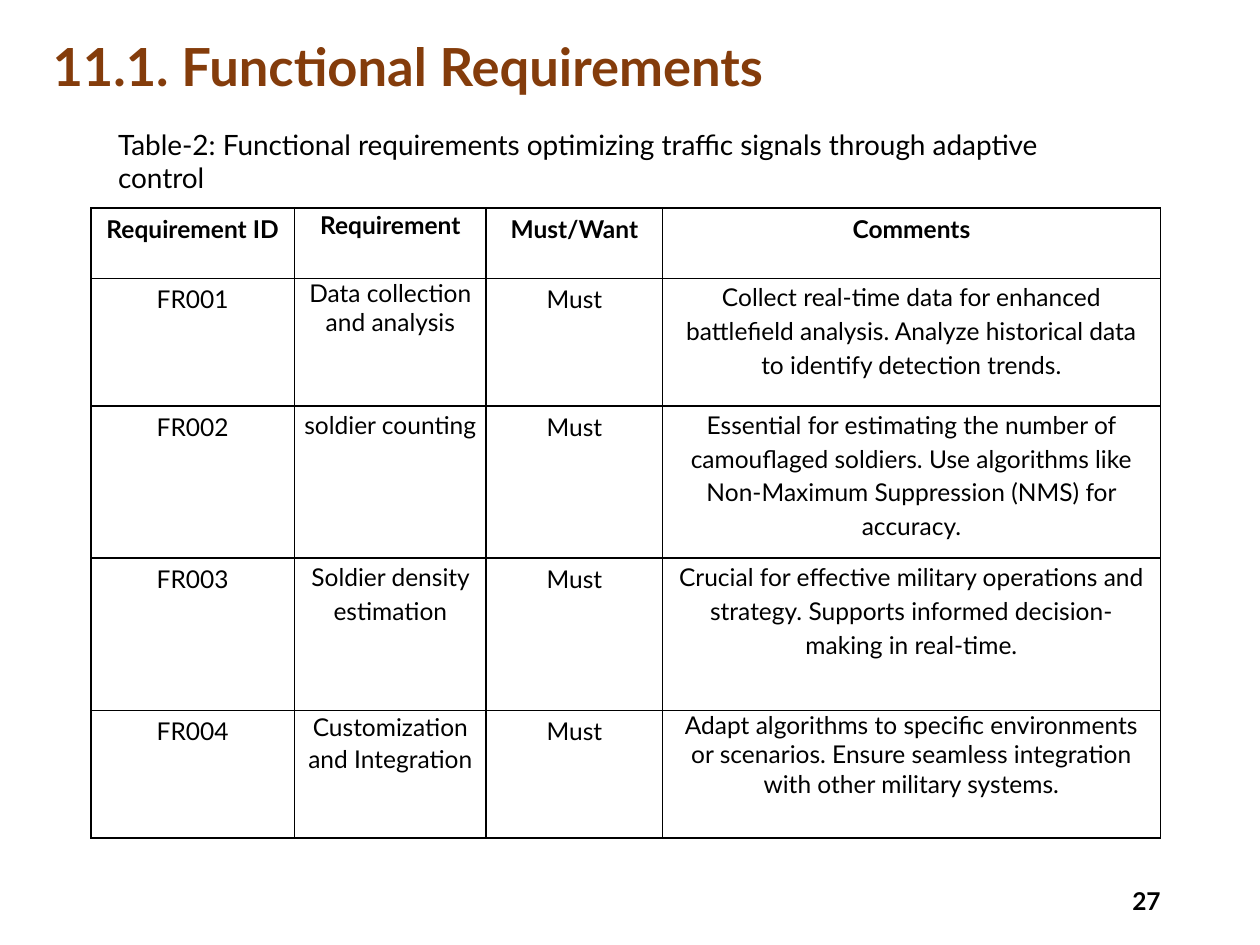
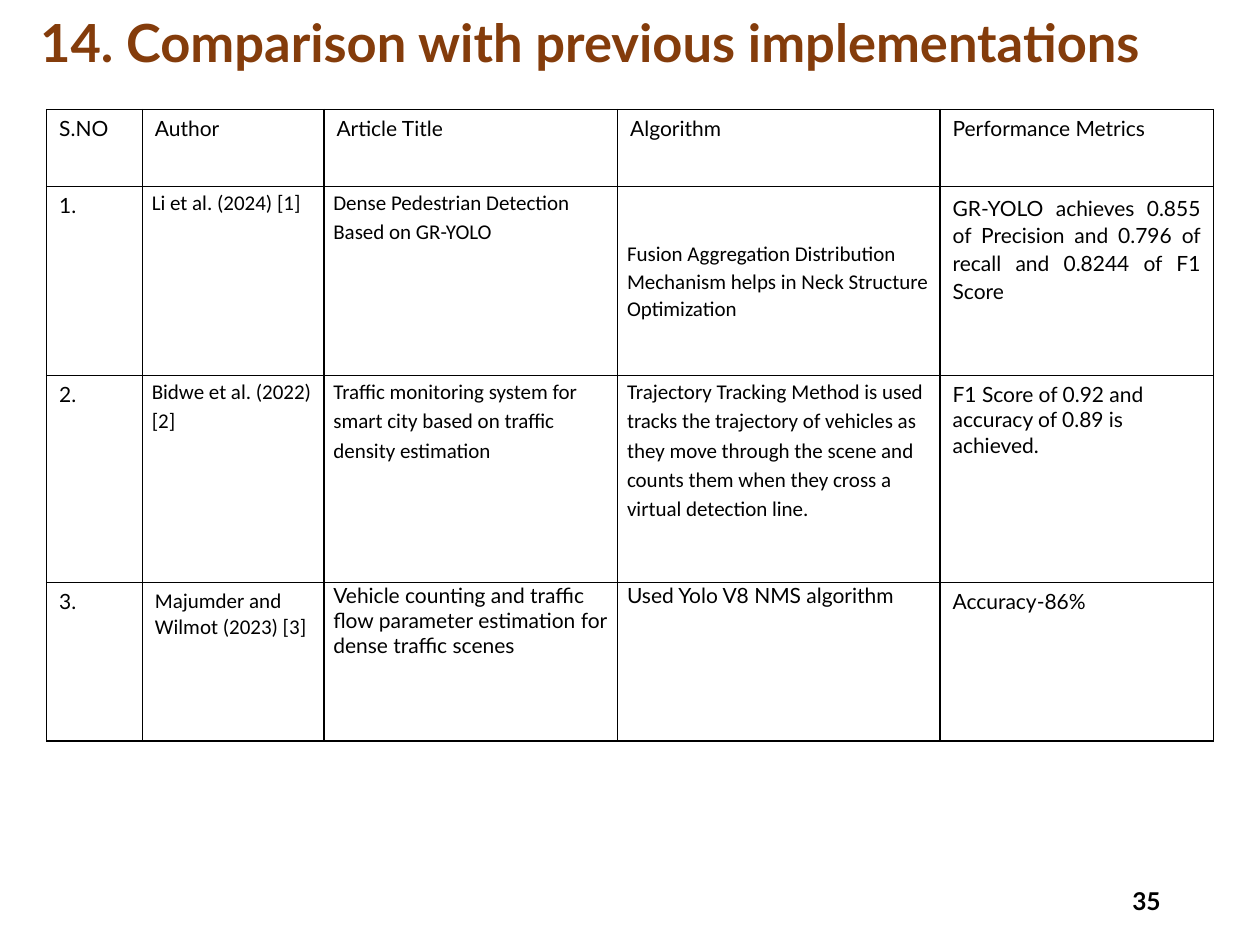
from dataclasses import dataclass, replace

from lxml.etree import SubElement
from pptx import Presentation
from pptx.dml.color import RGBColor
from pptx.enum.text import MSO_ANCHOR, PP_ALIGN
from pptx.oxml import parse_xml
from pptx.oxml.ns import nsdecls, qn
from pptx.util import Cm, Pt

BLACK = "000000"
BROWN = "843C0B"


def color(hex_string):
    return RGBColor.from_string(hex_string)


@dataclass(frozen=True)
class TextStyle:
    size: float
    font: str = "Lato"
    color: str = BLACK
    bold: bool = False
    align: PP_ALIGN = PP_ALIGN.LEFT
    anchor: MSO_ANCHOR = MSO_ANCHOR.TOP
    line_spacing: float = 1
    space_after: float = 0
    tight: bool = False


TITLE = TextStyle(30, color=BROWN, bold=True, anchor=MSO_ANCHOR.MIDDLE, line_spacing=0.9)
PAGE_NUMBER = TextStyle(14, bold=True, align=PP_ALIGN.RIGHT, anchor=MSO_ANCHOR.MIDDLE)
CAPTION = TextStyle(16)


def tight(style, line_spacing=1.15, space_after=8, **changes):
    """Return the style with narrow cell margins and open lines."""
    return replace(style, tight=True, line_spacing=line_spacing,
                   space_after=space_after, **changes)


class Deck:
    """Holds the presentation, the shared style and the current slide."""

    def __init__(self):
        self.presentation = Presentation()
        self.presentation.slide_width = Cm(25.4)
        self.presentation.slide_height = Cm(19.05)
        self.slide = None

    def add_slide(self, title, title_box, number):
        self.slide = self.presentation.slides.add_slide(self.presentation.slide_layouts[6])
        self.add_text(title, title_box, TITLE)
        self.add_text(number, (17.93, 17.65, 5.72, 1.02), PAGE_NUMBER)

    def add_text(self, text, box, style):
        shape = self.slide.shapes.add_textbox(*map(Cm, box))
        shape.text_frame.word_wrap = True
        shape.text_frame.vertical_anchor = style.anchor
        self.set_text(shape.text_frame, text, style)

    def add_table(self, left, top, widths, heights, rows, default):
        """Each entry is a text in the default style or a (text, style) pair."""
        frame = self.slide.shapes.add_table(
            len(rows), len(widths), Cm(left), Cm(top), Cm(sum(widths)), Cm(sum(heights)))
        table = frame.table
        table.first_row = table.horz_banding = False
        for column, width in zip(table.columns, widths):
            column.width = Cm(width)
        for row, height, entries in zip(table.rows, heights, rows):
            row.height = Cm(height)
            for cell, entry in zip(row.cells, entries):
                text, style = (entry, default) if isinstance(entry, str) else entry
                self.fill_cell(cell, text, style)

    def fill_cell(self, cell, text, style):
        cell.fill.background()
        cell.vertical_anchor = style.anchor
        if style.tight:
            cell.margin_left = cell.margin_right = Cm(0.19)
            cell.margin_top = cell.margin_bottom = 0
        self.set_text(cell.text_frame, text, style)
        self.add_borders(cell)

    def add_borders(self, cell):
        properties = cell._tc.get_or_add_tcPr()
        for index, side in enumerate(("lnL", "lnR", "lnT", "lnB")):
            line = parse_xml(f'<a:{side} {nsdecls("a")} w="{Pt(1)}"/>')
            fill = SubElement(line, qn("a:solidFill"))
            SubElement(fill, qn("a:srgbClr"), val=BLACK)
            properties.insert(index, line)

    def set_text(self, text_frame, text, style):
        text_frame.text = text
        paragraph = text_frame.paragraphs[0]
        paragraph.alignment = style.align
        paragraph.line_spacing = style.line_spacing
        paragraph.space_after = Pt(style.space_after)
        for run in paragraph.runs:
            run.font.name = style.font
            run.font.size = Pt(style.size)
            run.font.bold = style.bold
            run.font.color.rgb = color(style.color)


def add_requirements(deck):
    body = TextStyle(14, align=PP_ALIGN.CENTER)
    header = replace(body, bold=True)
    open_lines = tight(body)
    deck.add_slide("11.1. Functional Requirements", (0.81, 0.64, 23.6, 1.52), "27")
    requirements = [
        (("Data collection and analysis", tight(body, 1)),
         ("Collect real-time data for enhanced battlefield analysis. "
          "Analyze historical data to identify detection trends.", open_lines)),
        (("soldier counting", open_lines),
         ("Essential for estimating the number of camouflaged soldiers. "
          "Use algorithms like Non-Maximum Suppression (NMS) for accuracy.", open_lines)),
        (("Soldier density estimation", open_lines),
         ("Crucial for effective military operations and strategy. "
          "Supports informed decision-making in real-time.", open_lines)),
        (("Customization and Integration", tight(body, 1.07)),
         ("Adapt algorithms to specific environments or scenarios. "
          "Ensure seamless integration with other military systems.", tight(body, 1, 0))),
    ]
    rows = [[("Requirement ID", header), ("Requirement", tight(header, 1.07)),
             ("Must/Want", header), ("Comments", header)]]
    for number, (requirement, comment) in enumerate(requirements, 1):
        rows.append([f"FR{number:03}", requirement, "Must", comment])
    deck.add_table(1.83, 4.19, (4.11, 3.86, 3.56, 10.03),
                   (1.42, 2.57, 3.07, 3.07, 2.57), rows, body)
    deck.add_text("Table-2: Functional requirements optimizing traffic signals "
                  "through adaptive control", (2.13, 2.44, 20.7, 0.94), CAPTION)


def add_comparison(deck):
    body = TextStyle(12)
    calibri = replace(body, font="Calibri")
    open_lines = tight(calibri)
    close_lines = tight(body, 1)
    deck.add_slide("14. Comparison with previous implementations",
                   (0.56, -0.13, 24.28, 2.08), "35")
    rows = [
        ["S.NO", "Author", "Article Title", "Algorithm", "Performance Metrics"],
        ["1.",
         ("Li et al. (2024) [1]", open_lines),
         ("Dense Pedestrian Detection Based on GR-YOLO", open_lines),
         ("Fusion Aggregation Distribution Mechanism helps in Neck Structure Optimization",
          tight(calibri, 1.07, 0, anchor=MSO_ANCHOR.MIDDLE)),
         ("GR-YOLO achieves 0.855 of Precision and 0.796 of recall and 0.8244 of F1 Score",
          replace(body, align=PP_ALIGN.JUSTIFY, line_spacing=1.1))],
        ["2.",
         ("Bidwe et al. (2022) [2]", open_lines),
         ("Traffic monitoring system for smart city based on traffic density estimation",
          open_lines),
         ("Trajectory Tracking Method is used tracks the trajectory of vehicles as they move "
          "through the scene and counts them when they cross a virtual detection line.",
          open_lines),
         "F1 Score of 0.92 and accuracy of 0.89 is achieved."],
        ["3.",
         ("Majumder and Wilmot (2023) [3]", calibri),
         ("Vehicle counting and traffic flow parameter estimation for dense traffic scenes",
          close_lines),
         ("Used Yolo V8 NMS algorithm", close_lines),
         "Accuracy-86%"],
    ]
    deck.add_table(0.94, 2.21, (1.93, 3.66, 5.92, 6.5, 5.51),
                   (1.55, 3.81, 4.17, 3.2), rows, body)


def main():
    deck = Deck()
    add_requirements(deck)
    add_comparison(deck)
    deck.presentation.save("out.pptx")


if __name__ == "__main__":
    main()
